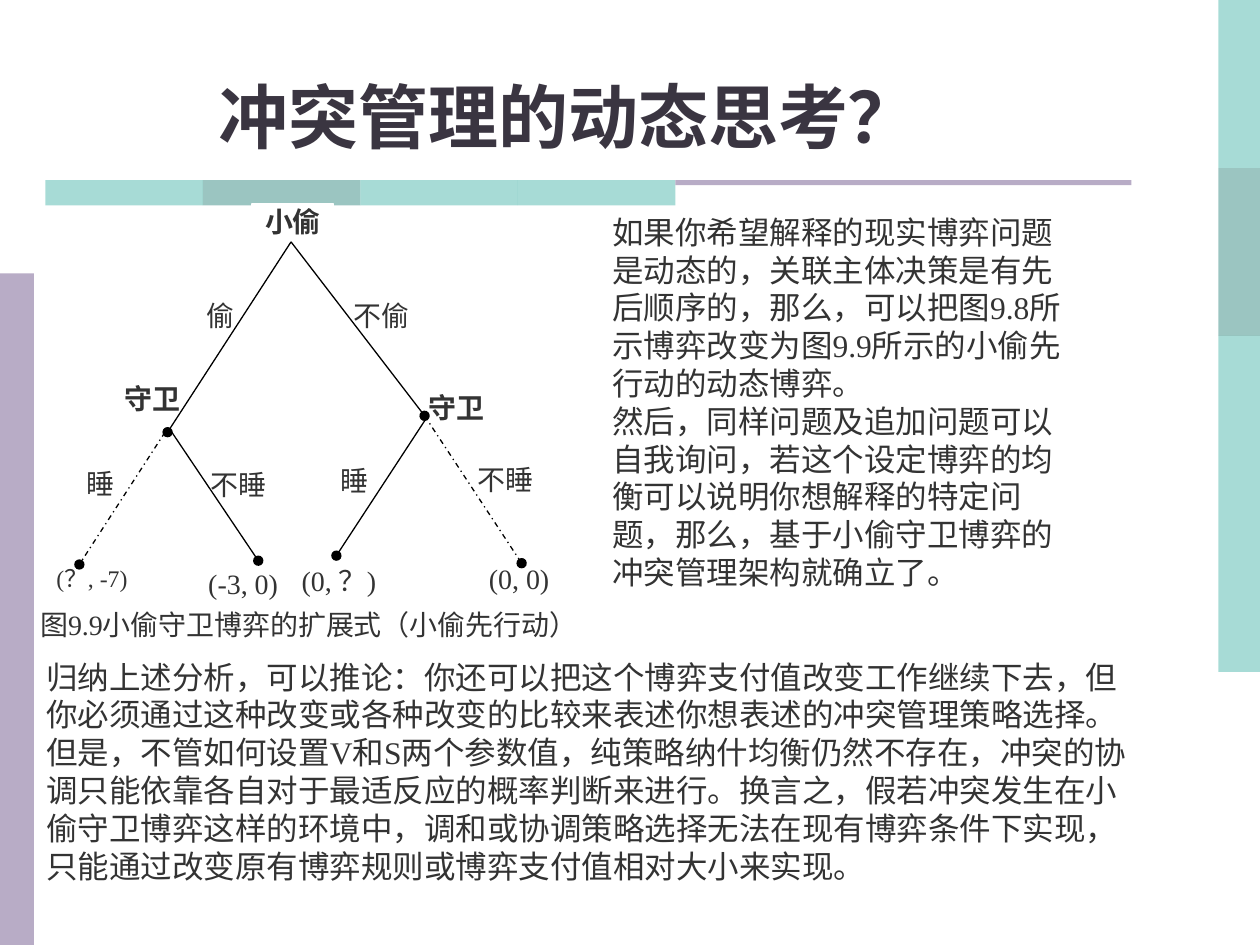
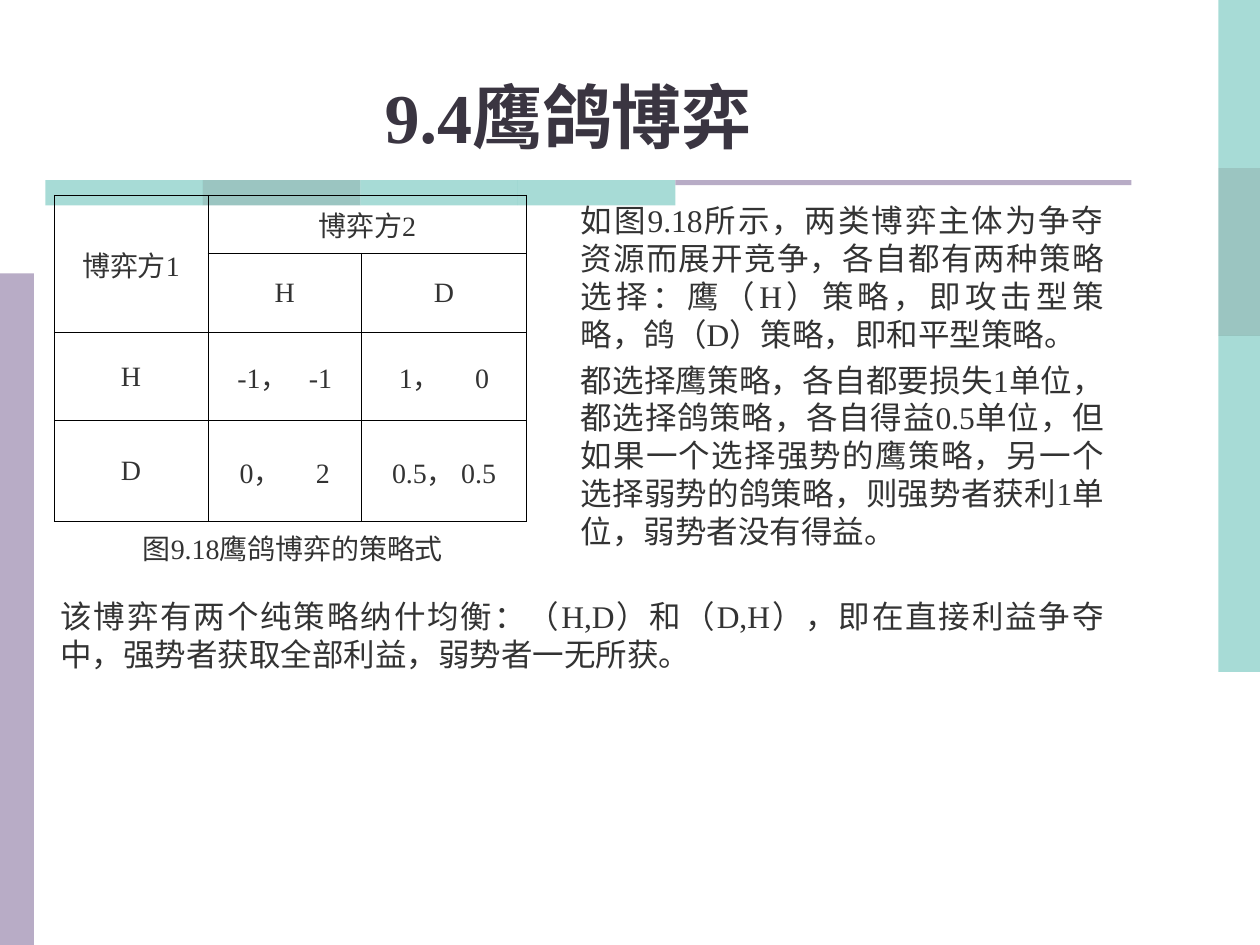
from typing import NamedTuple

from lxml import etree
from pptx import Presentation
from pptx.dml.color import RGBColor
from pptx.enum import dml, shapes, text
from pptx.oxml import ns
from pptx.util import Inches, Pt

FONT = "Times New Roman"
INK, TITLE_INK, BLACK, WHITE = "333333", "3A3541", "000000", "FFFFFF"
TEAL, DEEP_TEAL, LILAC = "51B9AF", "398D85", "B8ACC6"
BAND_COLOURS = (TEAL, DEEP_TEAL, TEAL, TEAL)
LEFT, CENTER, RIGHT, JUSTIFY = (
    text.PP_ALIGN.LEFT, text.PP_ALIGN.CENTER, text.PP_ALIGN.RIGHT, text.PP_ALIGN.JUSTIFY)


class Box(NamedTuple):
    """Place and size in inches."""
    left: float
    top: float
    width: float
    height: float

    def lengths(self) -> list:
        """Return the four sides as lengths."""
        return [Inches(side) for side in self]


class Style(NamedTuple):
    """Look of a paragraph."""
    size: float = 18
    align: text.PP_ALIGN = LEFT
    bold: bool = False
    colour: str = INK
    before: float = 0
    line_spacing: float = 1


class Label(NamedTuple):
    """White plate with a word of the game tree."""
    words: str
    box: Box
    style: Style


class Branch(NamedTuple):
    """Move in the game tree, ending in a node."""
    start: tuple[float, float]
    end: tuple[float, float]
    dashed: bool = False


class Payoff(NamedTuple):
    """Payoffs of both players, with the extra gap between them in points."""
    first: str
    second: str
    gap: float


TITLE = Style(40, CENTER, True, TITLE_INK)
BODY = Style()
JUSTIFIED = Style(align=JUSTIFY)
SPACED = Style(align=JUSTIFY, before=4.5)
CAPTION = Style(16)
MOVE = Style(16, CENTER)
MOVE_RIGHT = Style(16, RIGHT)
PLAYER = Style(16, CENTER, True)
PLAYER_LEFT = Style(16, LEFT, True)
PLAYER_RIGHT = Style(16, RIGHT, True)
SMALL_PAYOFF = Style(13.6, CENTER, line_spacing=0.9)

LABELS = (
    Label("睡", Box(2.42, 3.68, 0.79, 0.45), MOVE),
    Label("不睡", Box(3.52, 3.67, 0.98, 0.45), MOVE),
    Label("(0, 0)", Box(3.77, 4.46, 0.7, 0.31), MOVE),
    Label("不睡", Box(1.47, 3.71, 0.84, 0.45), MOVE),
    Label("不偷", Box(2.81, 2.37, 0.9, 0.39), CAPTION),
    Label("守卫", Box(3.4, 3.1, 0.69, 0.36), PLAYER_LEFT),
    Label("守卫", Box(0.76, 3.03, 0.67, 0.36), PLAYER_RIGHT),
    Label("(0, ？)", Box(2.34, 4.47, 0.7, 0.31), MOVE),
    Label("(-3, 0)", Box(1.58, 4.5, 0.7, 0.28), MOVE),
    Label("(？, -7)", Box(0.38, 4.5, 0.7, 0.28), SMALL_PAYOFF),
    Label("睡", Box(0.35, 3.7, 0.9, 0.45), MOVE),
    Label("偷", Box(0.88, 2.37, 0.98, 0.39), MOVE_RIGHT),
    Label("小偷", Box(2, 1.62, 0.65, 0.36), PLAYER),
)
BRANCHES = (
    Branch((2.31, 1.92), (1.33, 3.43)),
    Branch((2.31, 1.92), (3.37, 3.3)),
    Branch((1.35, 3.41), (2.05, 4.45)),
    Branch((3.39, 3.31), (2.67, 4.41)),
    Branch((3.37, 3.3), (4.14, 4.47), True),
    Branch((1.31, 3.43), (0.63, 4.48), True),
)
GAME = (
    ("博弈方1", "博弈方2", ""),
    ("", "H", "D"),
    ("H", Payoff("-1，", "-1", 8), Payoff("1，", "0", 16)),
    ("D", Payoff("0，", "2", 16), Payoff("0.5，", "0.5", 0)),
)


def rgb(colour: str) -> RGBColor:
    """Turn a hex string into a colour."""
    return RGBColor.from_string(colour)


def apply_style(paragraph, style: Style) -> None:
    """Set font and spacing of a paragraph, keeping punctuation inside the margin."""
    paragraph.alignment = style.align
    paragraph.space_before = Pt(style.before)
    paragraph.line_spacing = style.line_spacing
    paragraph._p.get_or_add_pPr().set("hangingPunct", "0")
    font = paragraph.font
    font.name, font.size, font.bold = FONT, Pt(style.size), style.bold
    font.color.rgb = rgb(style.colour)


def add_rectangle(slide, box: Box, colour: str, opacity: int = 100):
    """Draw a plain rectangle."""
    rectangle = slide.shapes.add_shape(shapes.MSO_SHAPE.RECTANGLE, *box.lengths())
    rectangle.shadow.inherit = False
    rectangle.line.fill.background()
    rectangle.fill.solid()
    rectangle.fill.fore_color.rgb = rgb(colour)
    if opacity < 100:
        tint = rectangle.fill._xPr.find(".//" + ns.qn("a:srgbClr"))
        etree.SubElement(tint, ns.qn("a:alpha"), val=str(opacity * 1000))
    return rectangle


def add_text(slide, box: Box, style: Style, *paragraphs: str, wrap: bool = True):
    """Add a text box that grows with its paragraphs."""
    frame = slide.shapes.add_textbox(*box.lengths()).text_frame
    frame.word_wrap = wrap
    frame.auto_size = text.MSO_AUTO_SIZE.SHAPE_TO_FIT_TEXT
    frame.text = "\n".join(paragraphs)
    for paragraph in frame.paragraphs:
        apply_style(paragraph, style)
    return frame


def add_label(slide, label: Label) -> None:
    """Draw a label of the game tree."""
    plate = add_rectangle(slide, label.box, WHITE)
    plate.line.color.rgb, plate.line.width = rgb(WHITE), Pt(0.75)
    frame = plate.text_frame
    frame.margin_left = frame.margin_top = frame.margin_right = frame.margin_bottom = 0
    frame.vertical_anchor = text.MSO_ANCHOR.TOP
    frame.word_wrap = True
    frame.text = label.words
    apply_style(frame.paragraphs[0], label.style)


def add_branch(slide, branch: Branch) -> None:
    """Draw a branch with a round node at its end."""
    ends = [Inches(place) for place in branch.start + branch.end]
    connector = slide.shapes.add_connector(shapes.MSO_CONNECTOR.STRAIGHT, *ends)
    line = connector.line
    line.color.rgb, line.width = rgb(BLACK), Pt(0.75)
    if branch.dashed:
        line.dash_style = dml.MSO_LINE.DASH_DOT
    properties = connector._element.spPr
    etree.SubElement(properties.find(ns.qn("a:ln")), ns.qn("a:tailEnd"), type="oval")
    etree.SubElement(properties, ns.qn("a:effectLst"))


def add_borders(cell) -> None:
    """Give a cell four thin black borders."""
    properties = cell._tc.get_or_add_tcPr()
    for side in ("lnL", "lnR", "lnT", "lnB"):
        border = etree.SubElement(properties, ns.qn(f"a:{side}"), w=str(Pt(0.45)))
        fill = etree.SubElement(border, ns.qn("a:solidFill"))
        etree.SubElement(fill, ns.qn("a:srgbClr"), val=BLACK)


def fill_cell(cell, content: str | Payoff) -> None:
    """Write a heading or a pair of payoffs into a cell."""
    add_borders(cell)
    cell.fill.background()
    cell.vertical_anchor = text.MSO_ANCHOR.MIDDLE
    paragraph = cell.text_frame.paragraphs[0]
    apply_style(paragraph, MOVE)
    if isinstance(content, Payoff):
        for part in (content.first, " ", content.second):
            run = paragraph.add_run()
            run.text = part
            if part == " ":
                run.font._element.set("spc", str(int(content.gap * 100)))
    elif content:
        paragraph.add_run().text = content


def add_game_table(slide, box: Box, widths: tuple, heights: tuple) -> None:
    """Draw the payoff table of the hawk-dove game."""
    table = slide.shapes.add_table(len(heights), len(widths), *box.lengths()).table
    table.first_row = table.horz_banding = False
    for column, width in zip(table.columns, widths):
        column.width = Inches(width)
    for row, height, contents in zip(table.rows, heights, GAME):
        row.height = Inches(height)
        for cell, content in zip(row.cells, contents):
            fill_cell(cell, content)
    table.cell(0, 0).merge(table.cell(1, 0))
    table.cell(0, 1).merge(table.cell(0, 2))


def add_themed_slide(deck, title: str):
    """Add a slide with the shared bands and title."""
    slide = deck.slides.add_slide(deck.slide_layouts[6])
    for index, colour in enumerate(BAND_COLOURS):
        add_rectangle(slide, Box(9.67, index * 4 / 3, 0.33, 4 / 3), colour, 50)
        add_rectangle(slide, Box(0.36 + index * 1.25, 1.43, 1.25, 0.2), colour, 50)
    add_rectangle(slide, Box(0, 2.17, 0.27, 5.33), LILAC)
    add_rectangle(slide, Box(5.36, 1.43, 3.62, 0.04), LILAC)
    frame = add_text(slide, Box(0, 0.44, 9.02, 0.86), TITLE, title)
    frame.auto_size = text.MSO_AUTO_SIZE.NONE
    frame.vertical_anchor = text.MSO_ANCHOR.BOTTOM
    return slide


def build_conflict_slide(deck) -> None:
    """Build the slide with the thief and guard game tree."""
    slide = add_themed_slide(deck, "冲突管理的动态思考？")
    add_text(
        slide, Box(0.27, 5.17, 8.82, 1.9), BODY,
        "归纳上述分析，可以推论：你还可以把这个博弈支付值改变工作继续下去，但你必须通过这种改变"
        "或各种改变的比较来表述你想表述的冲突管理策略选择。但是，不管如何设置V和S两个参数值，"
        "纯策略纳什均衡仍然不存在，冲突的协调只能依靠各自对于最适反应的概率判断来进行。换言之，"
        "假若冲突发生在小偷守卫博弈这样的环境中，调和或协调策略选择无法在现有博弈条件下实现，"
        "只能通过改变原有博弈规则或博弈支付值相对大小来实现。")
    add_text(
        slide, Box(4.76, 1.64, 3.94, 3.1), BODY,
        "如果你希望解释的现实博弈问题是动态的，关联主体决策是有先后顺序的，那么，"
        "可以把图9.8所示博弈改变为图9.9所示的小偷先行动的动态博弈。",
        "然后，同样问题及追加问题可以自我询问，若这个设定博弈的均衡可以说明你想解释的特定问题，"
        "那么，基于小偷守卫博弈的冲突管理架构就确立了。")
    for label in LABELS:
        add_label(slide, label)
    for branch in BRANCHES:
        add_branch(slide, branch)
    add_text(slide, Box(0.22, 4.77, 4.57, 0.37), CAPTION,
             "图9.9小偷守卫博弈的扩展式（小偷先行动）", wrap=False)


def build_hawk_dove_slide(deck) -> None:
    """Build the slide with the hawk-dove payoff table."""
    slide = add_themed_slide(deck, "9.4鹰鸽博弈")
    add_text(
        slide, Box(4.51, 1.55, 4.35, 2.87), SPACED,
        "如图9.18所示，两类博弈主体为争夺资源而展开竞争，各自都有两种策略选择："
        "鹰（H）策略，即攻击型策略，鸽（D）策略，即和平型策略。",
        "都选择鹰策略，各自都要损失1单位，都选择鸽策略，各自得益0.5单位，"
        "但如果一个选择强势的鹰策略，另一个选择弱势的鸽策略，则强势者获利1单位，弱势者没有得益。")
    add_text(slide, Box(0.98, 4.17, 2.69, 0.37), MOVE, "图9.18鹰鸽博弈的策略式", wrap=False)
    add_text(
        slide, Box(0.38, 4.69, 8.48, 0.7), JUSTIFIED,
        "该博弈有两个纯策略纳什均衡：（H,D）和（D,H），即在直接利益争夺中，"
        "强势者获取全部利益，弱势者一无所获。")
    add_game_table(slide, Box(0.43, 1.55, 3.75, 2.59), (1.22, 1.22, 1.31), (0.46, 0.63, 0.7, 0.8))


def main() -> None:
    """Build and save the presentation."""
    deck = Presentation()
    deck.slide_width, deck.slide_height = Inches(10), Inches(7.5)
    build_conflict_slide(deck)
    build_hawk_dove_slide(deck)
    deck.save("out.pptx")


if __name__ == "__main__":
    main()
